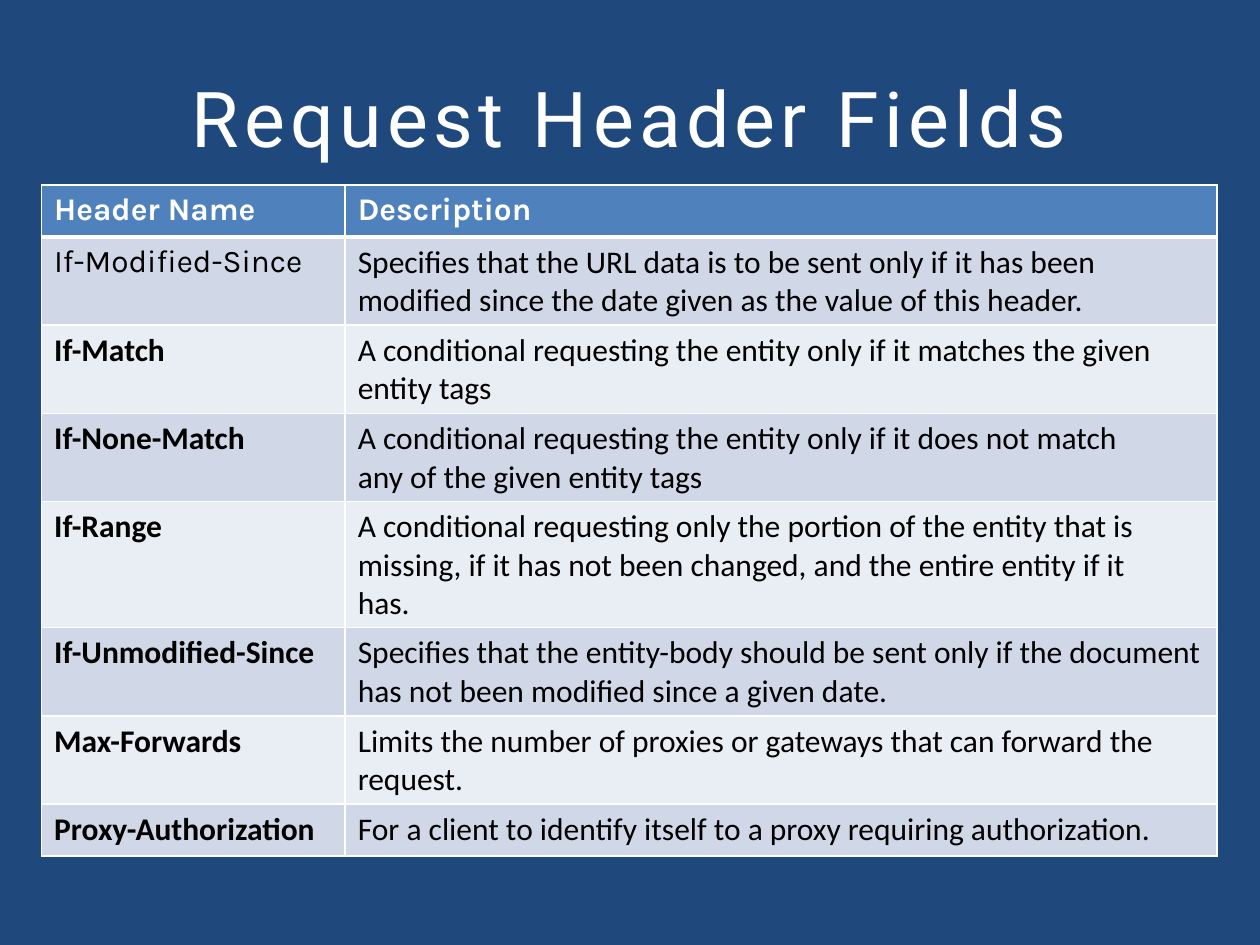
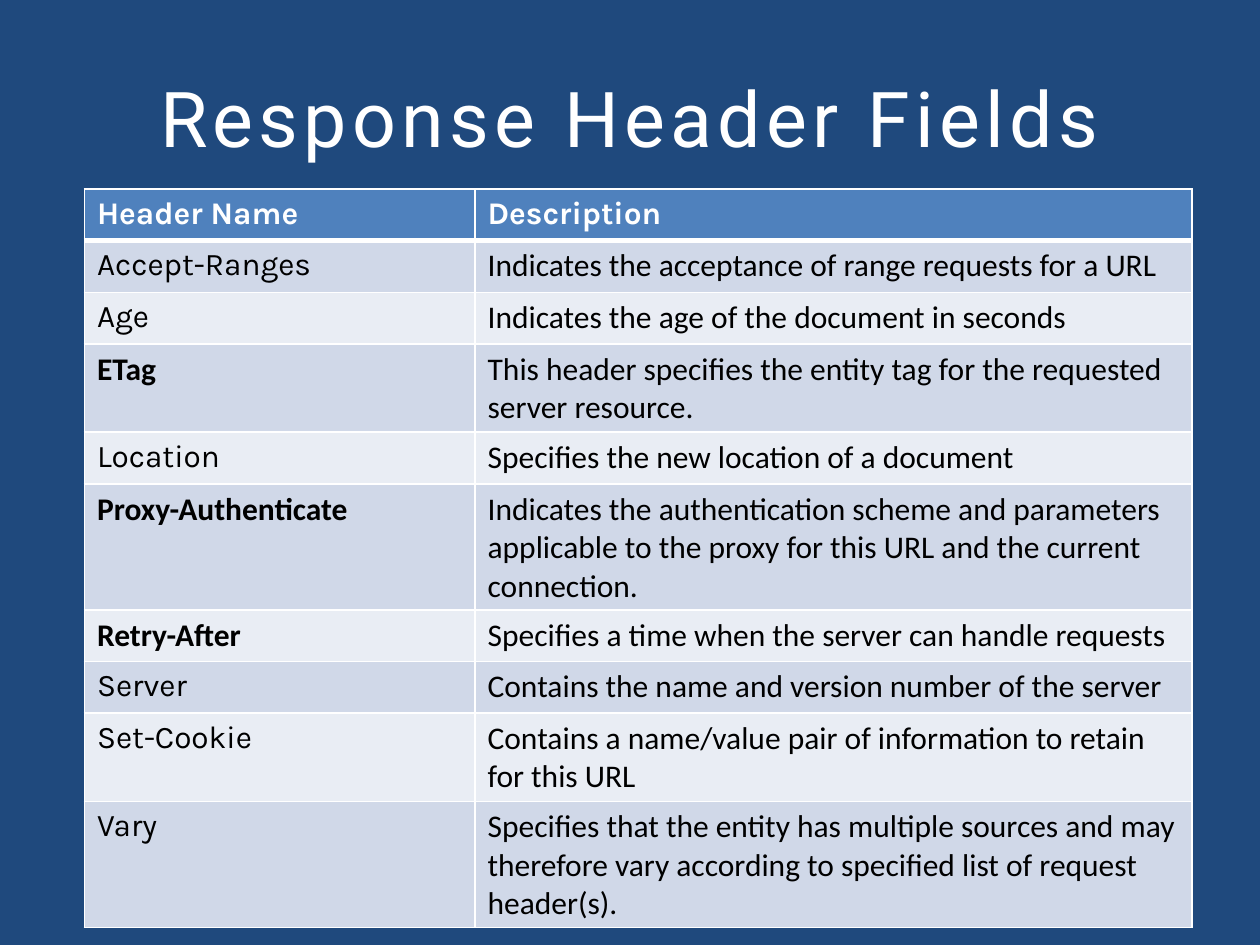
from dataclasses import dataclass

from pptx import Presentation
from pptx.dml.color import RGBColor
from pptx.enum.text import MSO_ANCHOR, PP_ALIGN
from pptx.oxml import parse_xml
from pptx.oxml.ns import nsdecls
from pptx.util import Inches, Pt

NAVY = RGBColor(0x1F, 0x49, 0x7D)
HEADER_BLUE = RGBColor(0x4F, 0x81, 0xBD)
BAND_DARK = RGBColor(0xD0, 0xD8, 0xE8)
BAND_LIGHT = RGBColor(0xE9, 0xED, 0xF4)
WHITE = RGBColor(0xFF, 0xFF, 0xFF)
BLACK = RGBColor(0, 0, 0)

TITLE_FONT, NAME_FONT, BODY_FONT = "Roboto", "Karla", "Calibri"
LETTER_SPACING = Pt(3)
ROW_HEIGHT = Inches(0.41)
THIN, THICK = Pt(1), Pt(3)
COLUMN_TITLES = ("Header Name", "Description")


@dataclass
class Field:
    name: str
    description: str
    bold: bool = False


@dataclass
class FieldSlide:
    title: str
    left: float
    top: float
    column_widths: tuple[float, float]
    fields: list[Field]


SLIDES = [
    FieldSlide("Request Header Fields", 0.33, 1.47, (2.41, 6.92), [
        Field("If-Modified-Since",
              "Specifies that the URL data is to be sent only if it has been\n"
              "modified since the date given as the value of this header."),
        Field("If-Match",
              "A conditional requesting the entity only if it matches the given\n"
              "entity tags", bold=True),
        Field("If-None-Match",
              "A conditional requesting the entity only if it does not match\n"
              "any of the given entity tags", bold=True),
        Field("If-Range",
              "A conditional requesting only the portion of the entity that is\n"
              "missing, if it has not been changed, and the entire entity if it\n"
              "has.", bold=True),
        Field("If-Unmodified-Since",
              "Specifies that the entity-body should be sent only if the document\n"
              "has not been modified since a given date.", bold=True),
        Field("Max-Forwards",
              "Limits the number of proxies or gateways that can forward the\n"
              "request.", bold=True),
        Field("Proxy-Authorization",
              "For a client to identify itself to a proxy requiring authorization.",
              bold=True),
    ]),
    FieldSlide("Response Header Fields", 0.67, 1.5, (3.1, 5.69), [
        Field("Accept-Ranges", "Indicates the acceptance of range requests for a URL"),
        Field("Age", "Indicates the age of the document in seconds"),
        Field("ETag",
              "This header specifies the entity tag for the requested "
              "server resource.", bold=True),
        Field("Location", "Specifies the new location of a document"),
        Field("Proxy-Authenticate",
              "Indicates the authentication scheme and parameters applicable "
              "to the proxy for this URL and the current connection.", bold=True),
        Field("Retry-After", "Specifies a time when the server can handle requests",
              bold=True),
        Field("Server", "Contains the name and version number of the server"),
        Field("Set-Cookie",
              "Contains a name/value pair of information to retain for this URL"),
        Field("Vary",
              "Specifies that the entity has multiple sources and may therefore "
              "vary according to specified list of request header(s)."),
    ]),
]


def format_font(font, color: RGBColor, **values) -> None:
    for attribute, value in values.items():
        setattr(font, attribute, value)
    font.color.rgb = color


def add_title(slide, text: str) -> None:
    box = slide.shapes.add_textbox(Inches(0.5), Inches(0.3), Inches(9), Inches(1.25))
    frame = box.text_frame
    frame.word_wrap = True
    frame.vertical_anchor = MSO_ANCHOR.MIDDLE
    paragraph = frame.paragraphs[0]
    paragraph.alignment = PP_ALIGN.CENTER
    run = paragraph.add_run()
    run.text = text
    format_font(run.font, WHITE, name=TITLE_FONT, size=Pt(44))
    run.font._element.set("spc", str(int(LETTER_SPACING.pt * 100)))


def set_borders(cell, top: int, bottom: int) -> None:
    """Put white lines on all sides; they must come before the cell's fill."""
    widths = {"lnL": THIN, "lnR": THIN, "lnT": top, "lnB": bottom}
    properties = cell._tc.get_or_add_tcPr()
    for position, (tag, width) in enumerate(widths.items()):
        properties.insert(position, parse_xml(
            f'<a:{tag} {nsdecls("a")} w="{int(width)}"><a:solidFill>'
            f'<a:srgbClr val="{WHITE}"/></a:solidFill></a:{tag}>'))


def fill_cell(cell, text: str, fill: RGBColor, color: RGBColor,
              font_name: str, bold: bool) -> None:
    cell.text = text
    cell.fill.solid()
    cell.fill.fore_color.rgb = fill
    for paragraph in cell.text_frame.paragraphs:
        for run in paragraph.runs:
            format_font(run.font, color, name=font_name, size=Pt(18), bold=bold)


def add_field_table(slide, content: FieldSlide) -> None:
    row_count = len(content.fields) + 1
    table = slide.shapes.add_table(
        row_count, len(COLUMN_TITLES), Inches(content.left), Inches(content.top),
        Inches(sum(content.column_widths)), ROW_HEIGHT * row_count).table
    for column, width in zip(table.columns, content.column_widths):
        column.width = Inches(width)
    for row in table.rows:
        row.height = ROW_HEIGHT

    for column, text in enumerate(COLUMN_TITLES):
        cell = table.cell(0, column)
        fill_cell(cell, text, HEADER_BLUE, WHITE, NAME_FONT, True)
        set_borders(cell, THIN, THICK)

    for row, field in enumerate(content.fields, start=1):
        band = BAND_DARK if row % 2 else BAND_LIGHT
        name_cell, description_cell = table.cell(row, 0), table.cell(row, 1)
        name_font = BODY_FONT if field.bold else NAME_FONT
        fill_cell(name_cell, field.name, band, BLACK, name_font, field.bold)
        fill_cell(description_cell, field.description, band, BLACK, BODY_FONT, False)
        for cell in (name_cell, description_cell):
            set_borders(cell, THICK if row == 1 else THIN, THIN)


def main() -> None:
    presentation = Presentation()
    presentation.slide_width = Inches(10)
    presentation.slide_height = Inches(7.5)
    for content in SLIDES:
        slide = presentation.slides.add_slide(presentation.slide_layouts[6])
        slide.background.fill.solid()
        slide.background.fill.fore_color.rgb = NAVY
        add_title(slide, content.title)
        add_field_table(slide, content)
    presentation.save("out.pptx")


if __name__ == "__main__":
    main()
